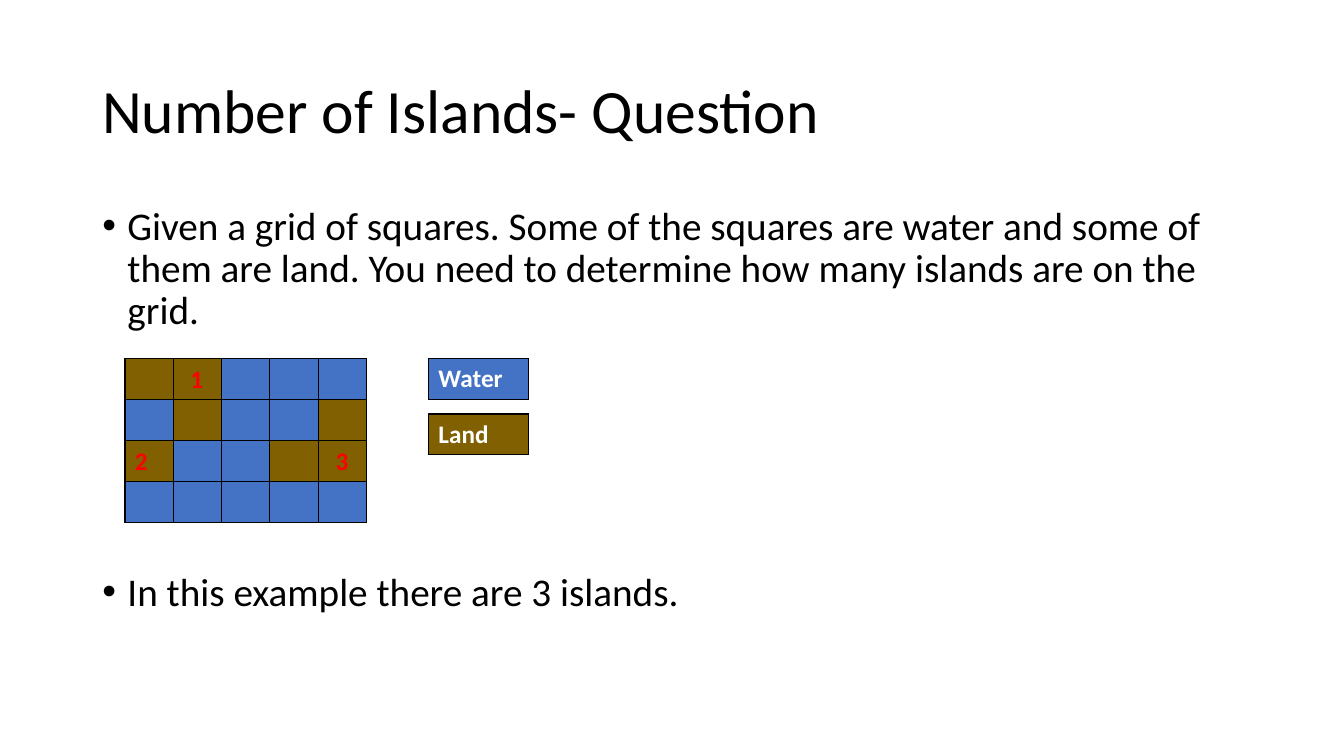
from pptx import Presentation
from pptx.dml.color import RGBColor
from pptx.enum.text import MSO_ANCHOR
from pptx.util import Pt
from lxml.etree import SubElement
from pptx.oxml.ns import qn

BLACK = RGBColor(0x00, 0x00, 0x00)
WHITE = RGBColor(0xFF, 0xFF, 0xFF)
RED = RGBColor(0xFF, 0x00, 0x00)
WATER = RGBColor(0x44, 0x72, 0xC4)
LAND = RGBColor(0x80, 0x60, 0x00)
ROW_H = 29.2
COL_W = 34.5
GRID_X, GRID_Y = 89.3, 256.3


def format_text(p, size, color, bold=False):
    for r in p.runs:
        r.font.name = "Calibri"
        r.font.size = Pt(size)
        r.font.bold = bold
        r.font.color.rgb = color


def add_squares(x, y, col_w, fills, label=""):
    """Add a bordered table with one coloured cell per entry in fills."""
    n_rows, n_cols = len(fills), len(fills[0])
    table = s.shapes.add_table(n_rows, n_cols, Pt(x), Pt(y),
                               Pt(col_w * n_cols), Pt(ROW_H * n_rows)).table
    table.first_row = table.horz_banding = False
    for col in table.columns:
        col.width = Pt(col_w)
    for row, row_fills in zip(table.rows, fills):
        row.height = Pt(ROW_H)
        for cell, color in zip(row.cells, row_fills):
            tcPr = cell._tc.get_or_add_tcPr()
            for side in ("a:lnL", "a:lnR", "a:lnT", "a:lnB"):
                ln = SubElement(tcPr, qn(side), w=str(Pt(1)))
                fill = SubElement(ln, qn("a:solidFill"))
                SubElement(fill, qn("a:srgbClr"), val=str(BLACK))
            cell.fill.solid()
            cell.fill.fore_color.rgb = color
            cell.text_frame.text = label
            format_text(cell.text_frame.paragraphs[0], 18, WHITE, True)


prs = Presentation()
prs.slide_width, prs.slide_height = Pt(960), Pt(540)
s = prs.slides.add_slide(prs.slide_layouts[6])

# Title
sp = s.shapes.add_textbox(Pt(66), Pt(28.75), Pt(828), Pt(104.4))
tf = sp.text_frame
tf.word_wrap = True
tf.vertical_anchor = MSO_ANCHOR.MIDDLE
tf.text = "Number of Islands- Question"
tf.paragraphs[0].line_spacing = 0.9
format_text(tf.paragraphs[0], 44, BLACK)

# Bullets, with room for the grid between them
sp = s.shapes.add_textbox(Pt(66), Pt(143.75), Pt(828), Pt(342.6))
tf = sp.text_frame
tf.word_wrap = True
tf.text = ("Given a grid of squares. Some of the squares are water and some of "
           "them are land. You need to determine how many islands are on the grid."
           "\nIn this example there are 3 islands.")
for p, gap in zip(tf.paragraphs, (10, 171)):
    p.line_spacing = 0.9
    p.space_before = Pt(gap)
    format_text(p, 28, BLACK)
    pPr = p._p.get_or_add_pPr()
    pPr.set("marL", str(Pt(18)))
    pPr.set("indent", str(Pt(-18)))
    SubElement(pPr, qn("a:buFont"), typeface="Arial")
    SubElement(pPr, qn("a:buChar"), char="•")

# Island grid: L is land, W is water
kinds = {"L": LAND, "W": WATER}
rows = ("LLWWW", "WLWWL", "LWWLL", "WWWWW")
add_squares(GRID_X, GRID_Y, COL_W, [[kinds[k] for k in row] for row in rows])

# Legend
for i, (label, color) in enumerate((("Water", WATER), ("Land", LAND))):
    add_squares(306, GRID_Y + i * 39.4, 71.5, [[color]], label)

# Island numbers
for number, x, row in (("1", 128.9, 0), ("2", GRID_X, 2), ("3", 232.6, 2)):
    sp = s.shapes.add_textbox(Pt(x), Pt(GRID_Y + row * ROW_H), Pt(22), Pt(ROW_H))
    tf = sp.text_frame
    tf.word_wrap = True
    tf.text = number
    format_text(tf.paragraphs[0], 18, RED, True)

prs.save("out.pptx")
